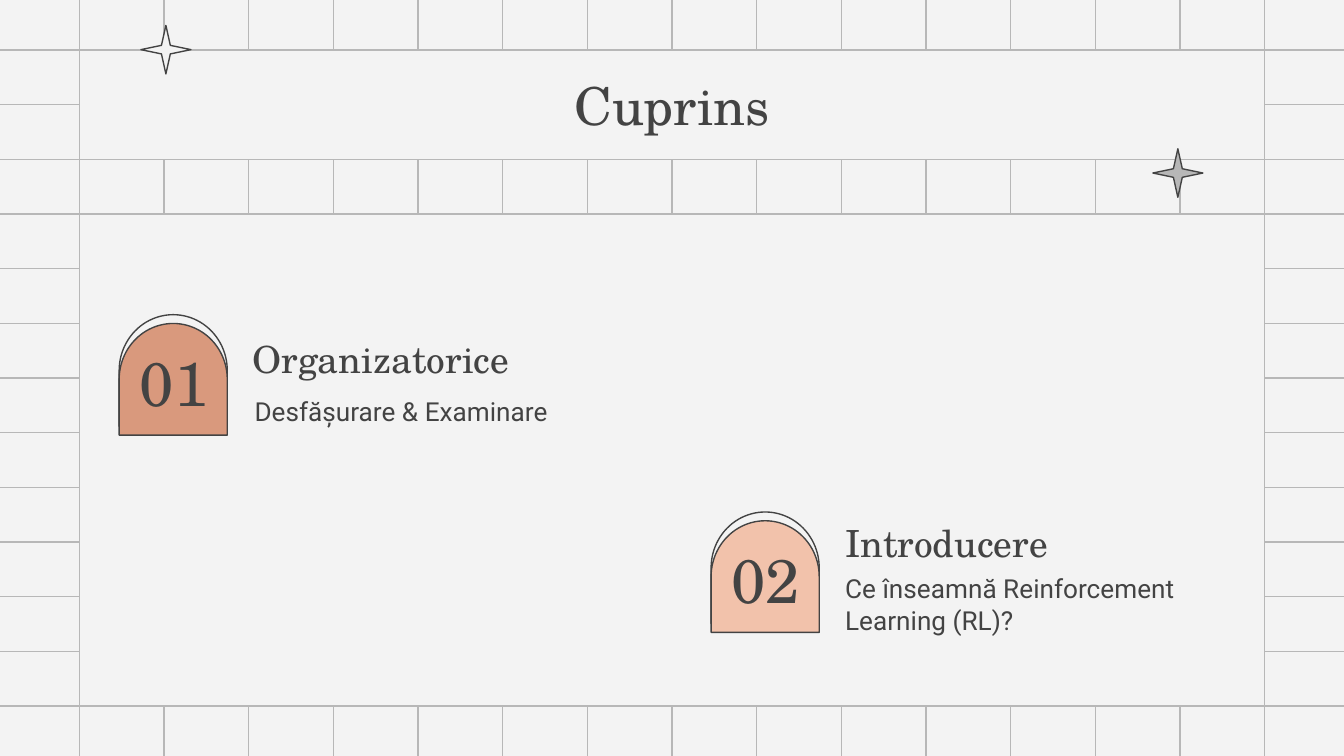
from lxml.etree import SubElement
from pptx import Presentation
from pptx.dml.color import RGBColor
from pptx.enum.shapes import MSO_CONNECTOR, MSO_SHAPE
from pptx.enum.text import MSO_ANCHOR, PP_ALIGN
from pptx.oxml.ns import qn
from pptx.util import Pt

# Content: boxes are left, top, width, height
SERIF, SANS = "TeX Gyre Schola", "Roboto"
PAPER, GRID, INK = "F3F3F3", "B7B7B7", "434343"
TITLE = "Cuprins"
SECTIONS = [
    {
        "number": ("01", (59.8, 185, 67, 38.9)),
        "heading": ("Organizatorice", (128.2, 177.8, 231.1, 28.8)),
        "detail": ("Desfășurare & Examinare", (129.3, 204.5, 174.2, 28.8)),
        "arch_center": (92.8, 198.5),
        "color": "D9997D",
    },
    {
        "number": ("02", (376.6, 290.9, 67, 38.2)),
        "heading": ("Introducere", (445.7, 276.5, 223.2, 28.8)),
        "detail": ("Ce înseamnă Reinforcement Learning (RL)?",
                   (445.7, 299.5, 198.7, 46.8)),
        "arch_center": (409.9, 304.2),
        "color": "F2C2AB",
    },
]
STARS = [((617.6, 79.7), GRID), ((75.5, 13.6), PAPER)]

# Grid geometry
WIDTH, HEIGHT, OVERHANG = 720, 405, 2.5
CENTER_X, CENTER_Y = WIDTH / 2, HEIGHT / 2
STEP_X, STEP_Y = 45.36, 29.28
COLUMNS = [CENTER_X + i * STEP_X for i in range(-7, 8)]
ROWS = [CENTER_Y + i * STEP_Y for i in range(-6, 7)]
X_STOPS = (-OVERHANG, CENTER_X, WIDTH + OVERHANG)
Y_STOPS = (-OVERHANG, CENTER_Y, HEIGHT + OVERHANG)

# Arch and star sizes
ARCH_LENGTH, ARCH_WIDTH, ARCH_OFFSET = 59.8, 57.9, 4.7
STAR_SIZE = (26.8, 26)

presentation = Presentation()
presentation.slide_width, presentation.slide_height = Pt(WIDTH), Pt(HEIGHT)
slide = presentation.slides.add_slide(presentation.slide_layouts[6])


def color(value):
    return RGBColor.from_string(value)


def points(values):
    return [Pt(round(value, 2)) for value in values]


def add_line(*ends):
    line = slide.shapes.add_connector(MSO_CONNECTOR.STRAIGHT, *points(ends))
    line.line.color.rgb = color(GRID)
    line.line.width = Pt(0.75)
    SubElement(line._element.spPr, qn("a:effectLst"))


def add_figure(kind, box, fill, outline=INK):
    shape = slide.shapes.add_shape(kind, *points(box))
    shape.shadow.inherit = False
    shape.fill.solid()
    shape.fill.fore_color.rgb = color(fill)
    shape.line.color.rgb = color(outline)
    shape.line.width = Pt(0.75)
    return shape


def write(shape, text, *, size, font=SERIF, align=PP_ALIGN.LEFT,
          anchor=MSO_ANCHOR.MIDDLE, space_after=0):
    frame = shape.text_frame
    frame.word_wrap = True
    frame.vertical_anchor = anchor
    frame.margin_left = frame.margin_right = Pt(7.2)
    frame.margin_top = frame.margin_bottom = Pt(7.2)
    paragraph = frame.paragraphs[0]
    paragraph.alignment = align
    paragraph.space_after = Pt(space_after)
    run = paragraph.add_run()
    run.text = text
    run.font.size = Pt(size)
    run.font.name = font
    run.font.color.rgb = color(INK)


def add_text(item, **text_format):
    text, box = item
    write(slide.shapes.add_textbox(*points(box)), text, **text_format)


# Background grid, drawn in halves that meet at the slide center
slide.background.fill.solid()
slide.background.fill.fore_color.rgb = color(PAPER)
for x in COLUMNS:
    for start, end in zip(Y_STOPS, Y_STOPS[1:]):
        add_line(x, start, x, end)
for y in ROWS:
    for start, end in zip(X_STOPS, X_STOPS[1:]):
        add_line(start, y, end, y)

# Content panel and title panel, both aligned to the grid
left, panel_width = COLUMNS[0], COLUMNS[-1] - COLUMNS[0]
add_figure(MSO_SHAPE.RECTANGLE,
           (left, ROWS[3], panel_width, ROWS[-1] - ROWS[3]), PAPER, GRID)
title = add_figure(MSO_SHAPE.RECTANGLE,
                   (left, ROWS[0], panel_width, ROWS[2] - ROWS[0]), PAPER, GRID)
write(title, TITLE, size=28, align=PP_ALIGN.CENTER)

# Sections: a doubled arch with its number, heading and detail
for section in SECTIONS:
    center_x, center_y = section["arch_center"]
    for offset, fill in ((0, PAPER), (ARCH_OFFSET, section["color"])):
        arch = add_figure(
            MSO_SHAPE.FLOWCHART_DELAY,
            (center_x - ARCH_LENGTH / 2, center_y - ARCH_WIDTH / 2 + offset,
             ARCH_LENGTH, ARCH_WIDTH), fill)
        arch.rotation = 270
    add_text(section["heading"], size=20, space_after=12)
    add_text(section["detail"], size=14, font=SANS,
             anchor=MSO_ANCHOR.TOP, space_after=12)
    add_text(section["number"], size=33, align=PP_ALIGN.CENTER)

# Decorative stars
for corner, fill in STARS:
    star = add_figure(MSO_SHAPE.STAR_4_POINT, corner + STAR_SIZE, fill)
    star.adjustments[0] = 0.125

presentation.save("out.pptx")
